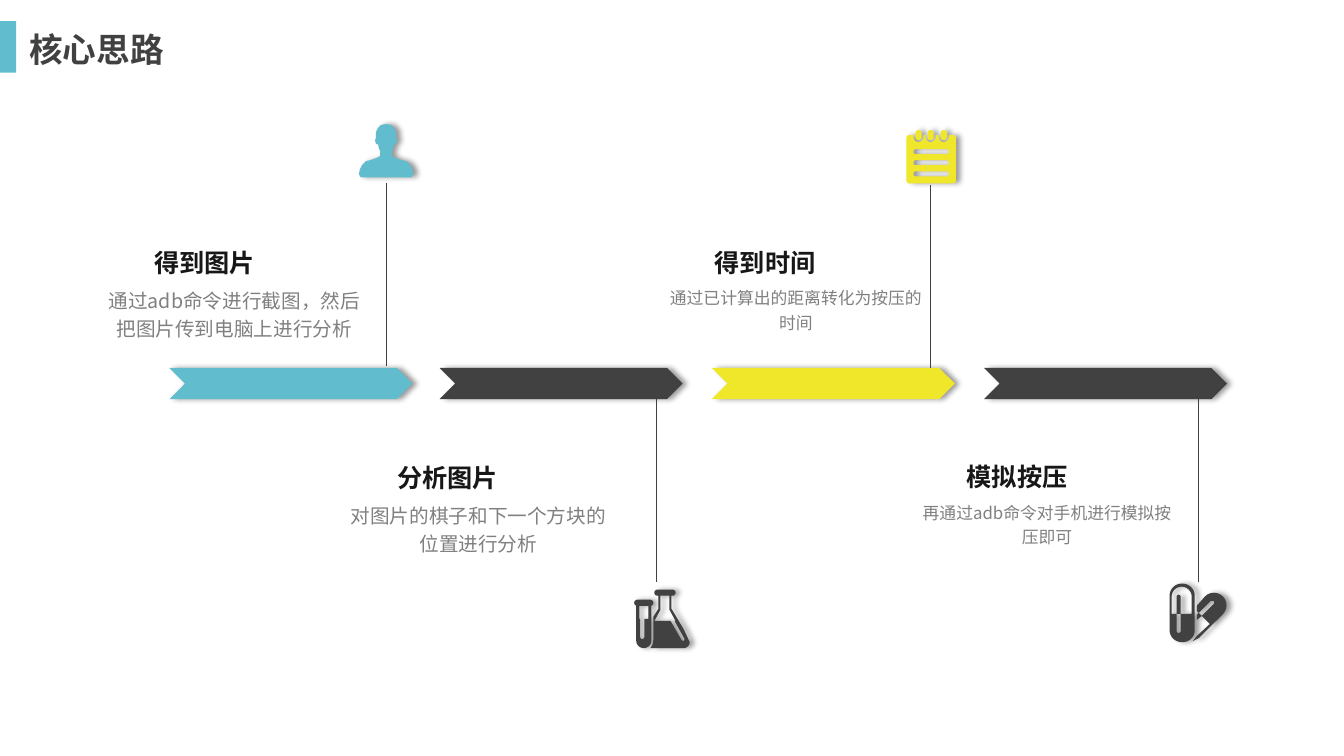
import math
from dataclasses import dataclass

import pptx
import pptx.dml.color
import pptx.enum.shapes
import pptx.enum.text
import pptx.oxml
import pptx.oxml.ns
import pptx.util

Inches = pptx.util.Inches
Align = pptx.enum.text.PP_ALIGN
Point = tuple[float, float]
Contour = list[Point]

FONT = "Noto Sans CJK SC"
TEAL, DARK, YELLOW = "61BDCD", "414141", "F1E72A"
LINE, HEADING, BODY = "404040", "181717", "808080"
ARROW_TOP, ARROW_WIDTH, ARROW_HEIGHT = 3.65, 2.41, 0.31
STEM = 1.81


@dataclass
class Step:
    heading: str
    detail: str
    detail_size: int
    color: str
    arrow_left: float
    stem_x: float
    stem_top: float
    heading_at: Point
    detail_at: Point
    icon: list[Contour]


# Icon outlines
def arc(x: float, y: float, radius: float, start: int, end: int) -> Contour:
    """Points on a circle; degrees run clockwise from the right."""
    turns = [math.radians(start + (end - start) * i / 12) for i in range(13)]
    return [(x + radius * math.cos(t), y + radius * math.sin(t)) for t in turns]


def bar(left: float, top: float, right: float, bottom: float, radius: float) -> Contour:
    x1, x2, y1, y2 = left + radius, right - radius, top + radius, bottom - radius
    return (arc(x1, y1, radius, 180, 270) + arc(x2, y1, radius, 270, 360)
            + arc(x2, y2, radius, 0, 90) + arc(x1, y2, radius, 90, 180))


def person_icon() -> list[Contour]:
    half = [(0, 1.23), (0.05, 1.24), (0.08, 1.27), (0.1, 1.31), (0.1, 1.37), (0.11, 1.39),
            (0.1, 1.43), (0.08, 1.43), (0.07, 1.48), (0.06, 1.49), (0.06, 1.55), (0.1, 1.57),
            (0.16, 1.59), (0.2, 1.6), (0.24, 1.64), (0.26, 1.68), (0.27, 1.73), (0.25, 1.76)]
    center = 3.83
    return [[(center + x, y) for x, y in half]
            + [(center - x, y) for x, y in reversed(half)]]


def notepad_icon() -> list[Contour]:
    ring_centers = [9.11, 9.23, 9.36]
    sheet = arc(9.02, 1.37, 0.03, 180, 270)
    for x in ring_centers:
        sheet += [(x - 0.05, 1.34)] + arc(x, 1.36, 0.05, 180, 0) + [(x + 0.05, 1.34)]
    sheet += (arc(9.45, 1.37, 0.03, 270, 360) + arc(9.45, 1.79, 0.03, 0, 90)
              + arc(9.02, 1.79, 0.03, 90, 180))
    rings = [bar(x - 0.03, 1.29, x + 0.03, 1.39, 0.03) for x in ring_centers]
    rows = [bar(9.06, top, 9.41, top + 0.05, 0.02) for top in (1.48, 1.59, 1.7)]
    return [sheet, *rings, *rows]


def flask_icon() -> list[Contour]:
    flask = (arc(6.67, 5.88, 0.03, 90, -90) + arc(6.52, 5.88, 0.03, 270, 90)
             + [(6.53, 5.91), (6.53, 6.04), (6.48, 6.12), (6.48, 6.35), (6.47, 6.4),
                (6.45, 6.43), (6.78, 6.43)]
             + arc(6.78, 6.37, 0.06, 90, 0) + [(6.78, 6.24), (6.66, 6.04), (6.66, 5.91)])
    flask_gap = [(6.78, 6.36), (6.76, 6.35), (6.65, 6.16), (6.49, 6.16), (6.55, 6.05),
                 (6.55, 5.91), (6.64, 5.91), (6.64, 6.05), (6.7, 6.16), (6.69, 6.16),
                 (6.79, 6.34)]
    tube = (arc(6.45, 5.98, 0.03, 90, -90) + arc(6.32, 5.98, 0.03, 270, 90)
            + [(6.31, 6.01)] + arc(6.385, 6.355, 0.075, 180, 0) + [(6.46, 6.01)])
    tube_gap = ([(6.43, 6.14), (6.39, 6.14)] + arc(6.37, 6.32, 0.02, 0, 180)
                + [(6.35, 6.14), (6.34, 6.14), (6.34, 6.01), (6.43, 6.01)])
    return [flask, flask_gap, tube, tube_gap]


def pill_icon() -> list[Contour]:
    upright = bar(11.6, 5.79, 11.85, 6.37, 0.12)
    upright_gap = (arc(11.72, 5.92, 0.1, 0, -180) + [(11.62, 6.09), (11.67, 6.09)]
                   + arc(11.69, 6.26, 0.02, 180, 0) + [(11.71, 6.09), (11.82, 6.09)])
    shine = arc(11.69, 5.92, 0.02, 180, 360) + [(11.71, 6.09), (11.67, 6.09)]
    tilted = (arc(12.04, 6.005, 0.125, -135, 45)
              + [(11.89, 6.33), (11.83, 6.36), (11.87, 6.31), (12, 6.19), (11.92, 6.11),
                 (12.04, 5.99), (12.04, 5.96), (12.01, 5.96), (11.89, 6.08),
                 (11.87, 6.06), (11.87, 6.01)])
    tilted_end = [(11.87, 6.15), (11.87, 6.1), (11.89, 6.08), (11.92, 6.11)]
    return [upright, upright_gap, shine, tilted, tilted_end]


# Drawing functions
def rgb(color: str) -> pptx.dml.color.RGBColor:
    return pptx.dml.color.RGBColor.from_string(color)


def paint(shape, color: str, shadow: bool = True) -> None:
    shape.fill.solid()
    shape.fill.fore_color.rgb = rgb(color)
    shape.line.fill.background()
    shape.shadow.inherit = False
    if shadow:
        effects = shape._element.spPr.find(pptx.oxml.ns.qn("a:effectLst"))
        effects.append(pptx.oxml.parse_xml(
            f'<a:outerShdw {pptx.oxml.ns.nsdecls("a")} blurRad="50800" dist="38100" dir="0" '
            'algn="l" rotWithShape="0"><a:srgbClr val="000000"><a:alpha val="40000"/>'
            '</a:srgbClr></a:outerShdw>'))


def write(box, text: str, *, size: int, color: str, bold: bool = False, wrap: bool = True,
          align=Align.LEFT, spacing: float = 1.0) -> None:
    frame = box.text_frame
    frame.word_wrap = wrap
    frame.vertical_anchor = pptx.enum.text.MSO_ANCHOR.TOP
    para = frame.paragraphs[0]
    para.alignment, para.line_spacing = align, spacing
    span = para.add_run()
    span.text = text
    span.font.size, span.font.bold = pptx.util.Pt(size), bold
    span.font.name = FONT
    span.font.color.rgb = rgb(color)
    east_asian = pptx.oxml.parse_xml(
        f'<a:ea {pptx.oxml.ns.nsdecls("a")} typeface="{FONT}"/>')
    span.font._element.find(pptx.oxml.ns.qn("a:latin")).addnext(east_asian)


def add_box(page, at: Point, width: float, height: float):
    return page.shapes.add_textbox(*map(Inches, (*at, width, height)))


def add_icon(page, contours: list[Contour], color: str) -> None:
    first, *others = [[(Inches(x), Inches(y)) for x, y in c] for c in contours]
    builder = page.shapes.build_freeform(*first[0])
    builder.add_line_segments(first[1:], close=True)
    for contour in others:
        builder.move_to(*contour[0])
        builder.add_line_segments(contour[1:], close=True)
    paint(builder.convert_to_shape(), color)


def add_step(page, step: Step) -> None:
    arrow = page.shapes.add_shape(
        pptx.enum.shapes.MSO_SHAPE.CHEVRON,
        *map(Inches, (step.arrow_left, ARROW_TOP, ARROW_WIDTH, ARROW_HEIGHT)))
    paint(arrow, step.color)
    add_icon(page, step.icon, step.color)
    stem = page.shapes.add_connector(
        pptx.enum.shapes.MSO_CONNECTOR.STRAIGHT,
        *map(Inches, (step.stem_x, step.stem_top, step.stem_x, step.stem_top + STEM)))
    stem.line.color.rgb = rgb(LINE)
    stem.line.width = pptx.util.Pt(0.75)
    stem._element.spPr.append(pptx.oxml.parse_xml(
        f'<a:effectLst {pptx.oxml.ns.nsdecls("a")}/>'))
    write(add_box(page, step.detail_at, 2.77, 0.61), step.detail, size=step.detail_size,
          color=BODY, align=Align.CENTER, spacing=1.2)
    write(add_box(page, step.heading_at, 2.4, 0.38), step.heading, size=18,
          color=HEADING, bold=True, wrap=False)


STEPS = [
    Step("得到图片", "通过adb命令进行截图，然后把图片传到电脑上进行分析", 14, TEAL,
         1.68, 3.83, 1.82, (1.43, 2.4), (0.94, 2.77), person_icon()),
    Step("分析图片", "对图片的棋子和下一个方块的位置进行分析", 14, DARK,
         4.36, 6.51, 3.96, (3.84, 4.54), (3.36, 4.9), flask_icon()),
    Step("得到时间", "通过已计算出的距离转化为按压的时间", 12, YELLOW,
         7.06, 9.23, 1.84, (6.99, 2.4), (6.51, 2.77), notepad_icon()),
    Step("模拟按压", "再通过adb命令对手机进行模拟按压即可", 12, DARK,
         9.76, 11.89, 3.96, (9.49, 4.53), (9, 4.9), pill_icon()),
]


def main() -> None:
    deck = pptx.Presentation()
    deck.slide_width, deck.slide_height = Inches(13.33), Inches(7.5)
    page = deck.slides.add_slide(deck.slide_layouts[5])

    # Title and its accent
    title = page.shapes.title
    title.left, title.top, title.width, title.height = map(Inches, (0.19, 0.24, 2.89, 0.51))
    write(title, "核心思路", size=24, color=DARK, bold=True)
    title.text_frame.auto_size = pptx.enum.text.MSO_AUTO_SIZE.SHAPE_TO_FIT_TEXT
    accent = page.shapes.add_shape(pptx.enum.shapes.MSO_SHAPE.RECTANGLE,
                                   *map(Inches, (0, 0.21, 0.16, 0.51)))
    paint(accent, TEAL, shadow=False)

    # Timeline
    for step in STEPS:
        add_step(page, step)
    deck.save("out.pptx")


if __name__ == "__main__":
    main()
